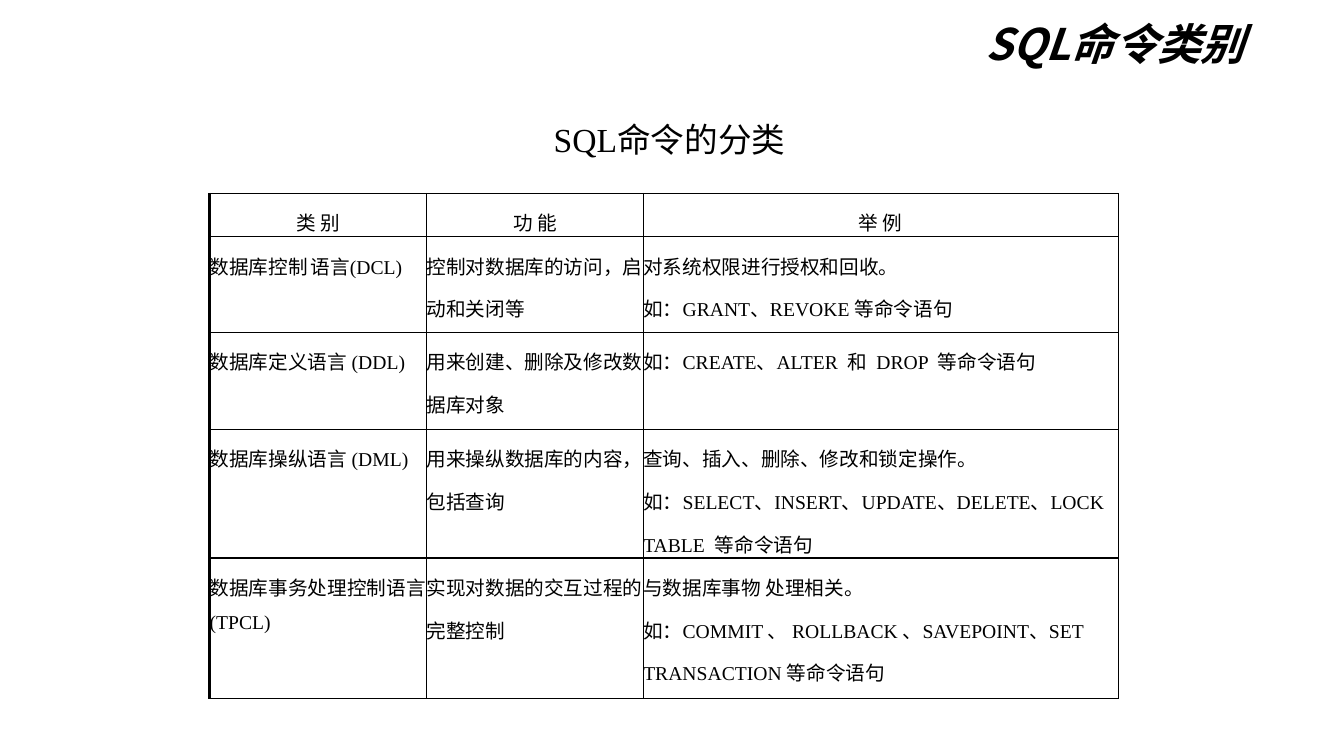
from lxml.etree import SubElement
from pptx import Presentation
from pptx.dml.color import RGBColor
from pptx.enum.lang import MSO_LANGUAGE_ID as Language
from pptx.enum.text import MSO_ANCHOR as Anchor, MSO_AUTO_SIZE as AutoSize, PP_ALIGN as Align
from pptx.oxml.ns import qn
from pptx.util import Inches, Pt

COLORS = {"text": "000000", "border": "000000", "background": "FFFFFF"}
CJK_FONT, LATIN_FONT, CODE_FONT = "Noto Sans CJK JP", "Times New Roman", "Courier New"


def add_text(paragraph, text, size, name=LATIN_FONT, **formats):
    run = paragraph.add_run()
    run.text = text
    values = {"size": Pt(size), "name": name,
              "language_id": Language.SIMPLIFIED_CHINESE, **formats}
    for attribute, value in values.items():
        setattr(run.font, attribute, value)
    run.font.color.rgb = RGBColor.from_string(COLORS["text"])
    SubElement(run.font._element, qn("a:ea"), typeface=CJK_FONT)


def add_border(cell, side, width):
    line = SubElement(cell._tc.get_or_add_tcPr(), qn(f"a:{side}"), w=str(Pt(width)))
    fill = SubElement(line, qn("a:solidFill"))
    SubElement(fill, qn("a:srgbClr"), val=COLORS["border"])


presentation = Presentation()
presentation.slide_width, presentation.slide_height = Inches(13.33), Inches(7.5)
slide = presentation.slides.add_slide(presentation.slide_layouts[5])
slide.background.fill.solid()
slide.background.fill.fore_color.rgb = RGBColor.from_string(COLORS["background"])

# Title
title = slide.shapes.title
title.left, title.top, title.width, title.height = map(Inches, (1.83, 0, 10.58, 0.92))
frame = title.text_frame
frame_formats = {"margin_left": Inches(0.07), "margin_right": Inches(0.07),
                 "margin_top": Inches(0.04), "margin_bottom": Inches(0.04),
                 "vertical_anchor": Anchor.MIDDLE, "auto_size": AutoSize.NONE}
for attribute, value in frame_formats.items():
    setattr(frame, attribute, value)
paragraph = frame.paragraphs[0]
paragraph.alignment, paragraph.line_spacing = Align.RIGHT, 0.9
add_text(paragraph, "SQL命令类别", 31, CJK_FONT, bold=True, italic=True)

# Table: each cell is a list of paragraphs, each paragraph a list of (text, font)
rows = [
    ["类 别", "功 能", "举 例"],
    ["数据库控制\t语言(DCL)", "控制对数据库的访问，启动和关闭等",
     "对系统权限进行授权和回收。\n如：GRANT、REVOKE 等命令语句"],
    ["数据库定义语言 (DDL)", "用来创建、删除及修改数据库对象",
     "如：CREATE、ALTER  和  DROP  等命令语句"],
    ["数据库操纵语言 (DML)", "用来操纵数据库的内容，包括查询",
     "查询、插入、删除、修改和锁定操作。\n"
     "如：SELECT、INSERT、UPDATE、DELETE、LOCK  TABLE  等命令语句"],
    [[("数据库", LATIN_FONT), ("事务处理控制语言", CODE_FONT), ("(TPCL)", LATIN_FONT)],
     "实现对数据的交互过程的完整控制",
     "与数据库事物 处理相关。\n"
     "如：COMMIT 、 ROLLBACK 、SAVEPOINT、SET TRANSACTION 等命令语句"],
]
column_widths = [2.15, 2.15, 4.71]
row_heights = [0.43, 0.95, 0.96, 1.05, 1.39]
table = slide.shapes.add_table(len(rows), len(column_widths), Inches(2.08), Inches(1.92),
                               Inches(sum(column_widths)), Inches(sum(row_heights))).table
table.first_row = table.horz_banding = False
for column, width in zip(table.columns, column_widths):
    column.width = Inches(width)
for row, height in zip(table.rows, row_heights):
    row.height = Inches(height)

for row_index, row in enumerate(rows):
    for column_index, content in enumerate(row):
        cell = table.cell(row_index, column_index)
        cell.margin_left = cell.margin_right = cell.margin_top = cell.margin_bottom = 0
        for side in ("lnL", "lnR", "lnT", "lnB"):
            add_border(cell, side, 2.25 if side == "lnL" and column_index == 0 else 1)
        cell.fill.background()
        if isinstance(content, str):
            paragraphs = [[(line, LATIN_FONT)] for line in content.split("\n")]
        else:
            paragraphs = [content]
        for index, runs in enumerate(paragraphs):
            frame = cell.text_frame
            paragraph = frame.add_paragraph() if index else frame.paragraphs[0]
            paragraph.alignment = Align.LEFT if row_index else Align.CENTER
            paragraph.line_spacing = 1.5
            for text, font_name in runs:
                add_text(paragraph, text, 14, font_name)

# Table caption
caption = slide.shapes.add_textbox(*map(Inches, (4.92, 1.3, 3.44, 0.28)))
frame = caption.text_frame
frame.margin_left = frame.margin_right = frame.margin_top = frame.margin_bottom = 0
frame.word_wrap, frame.auto_size = True, AutoSize.SHAPE_TO_FIT_TEXT
paragraph = frame.paragraphs[0]
paragraph.alignment, paragraph.line_spacing = Align.CENTER, Pt(20)
add_text(paragraph, "SQL命令的分类", 24)

presentation.save("out.pptx")
